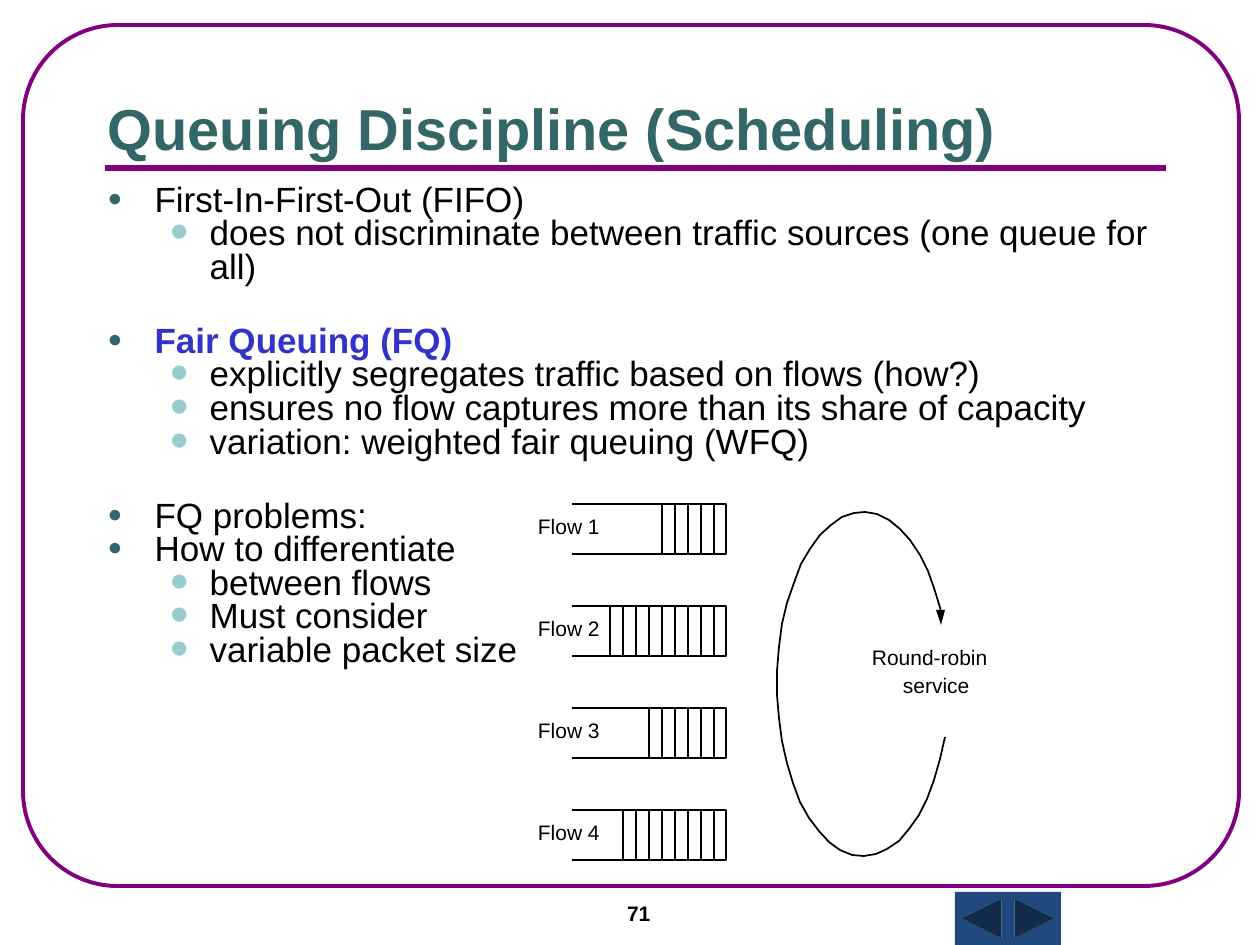
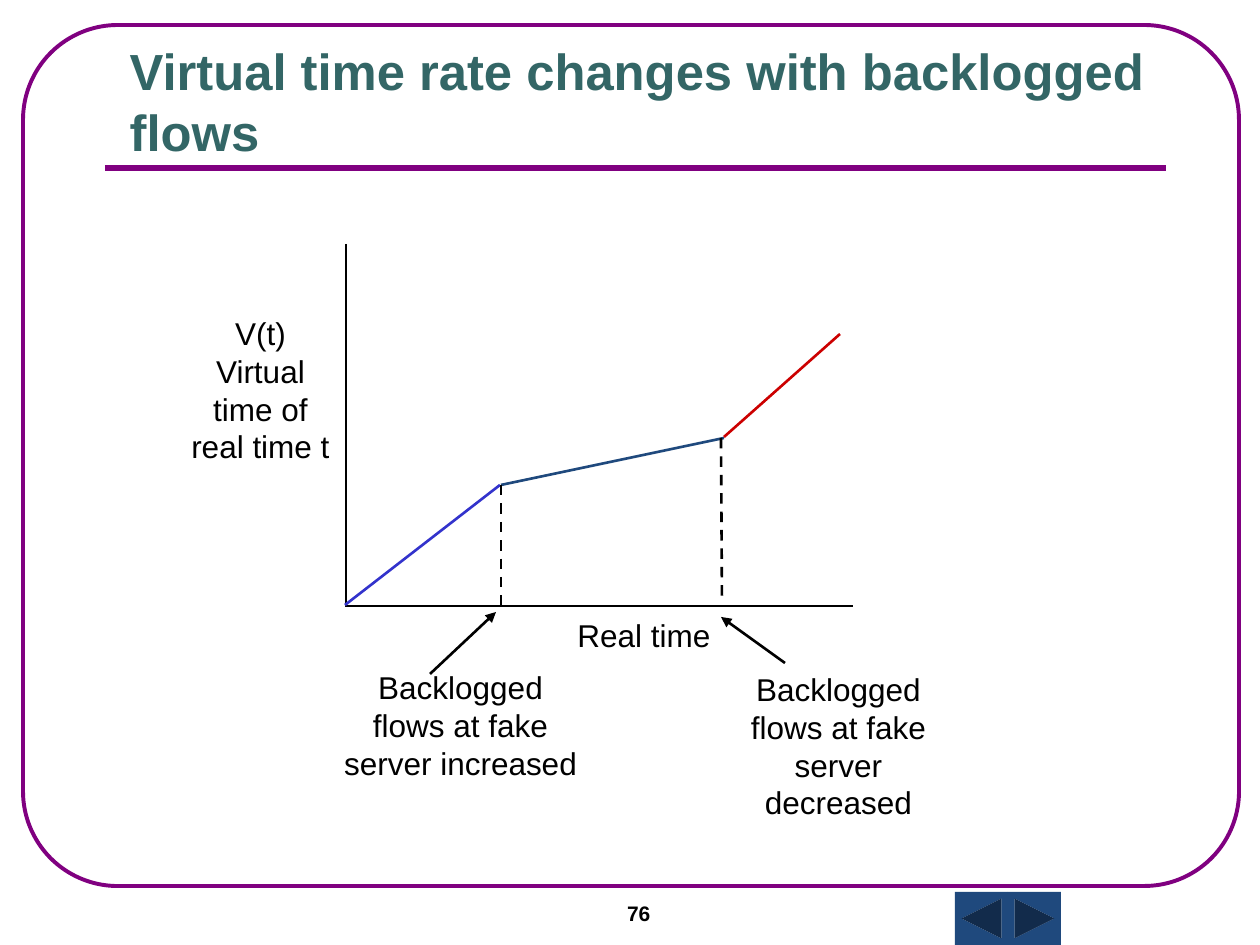
import math
import pptx
import pptx.dml.color
import pptx.enum.dml
import pptx.enum.shapes
import pptx.enum.text
import pptx.oxml.ns
import pptx.util
from lxml import etree

PX = 914400 / 126
FONT = "Arial"
BLACK, PURPLE, TEAL, AQUA = "000000", "800080", "336666", "97CDCC"
NAVY, BLUE, RED = "1F497D", "3333CC", "CC0000"
colour = pptx.dml.color.RGBColor.from_string
qn = pptx.oxml.ns.qn
PRESET = pptx.enum.shapes.MSO_SHAPE
ALIGN = pptx.enum.text.PP_ALIGN


def add_line(slide, ends, tint=BLACK, width=1.5, dashed=False, arrow=False):
    connector = slide.shapes.add_connector(
        pptx.enum.shapes.MSO_CONNECTOR.STRAIGHT, *[round(v * PX) for v in ends])
    connector.line.color.rgb = colour(tint)
    connector.line.width = pptx.util.Pt(width)
    if dashed:
        connector.line.dash_style = pptx.enum.dml.MSO_LINE.DASH
    if arrow:
        etree.SubElement(connector.line._get_or_add_ln(), qn("a:tailEnd"), type="triangle")
    etree.SubElement(connector._element.spPr, qn("a:effectLst"))


def add_text(slide, box, paragraphs, size=12, bold=False, align=ALIGN.LEFT, wrap=False):
    frame = slide.shapes.add_textbox(*[round(v * PX) for v in box]).text_frame
    frame.word_wrap = wrap
    frame.margin_left = frame.margin_right = frame.margin_top = frame.margin_bottom = 0
    for i, words in enumerate(paragraphs):
        paragraph = frame.add_paragraph() if i else frame.paragraphs[0]
        paragraph.alignment = align
        run = paragraph.add_run()
        run.text = words
        run.font.name, run.font.size, run.font.bold = FONT, pptx.util.Pt(size), bold
        run.font.color.rgb = colour(BLACK)


deck = pptx.Presentation()
deck.slide_width, deck.slide_height = round(1260 * PX), round(945 * PX)
queuing = deck.slides.add_slide(deck.slide_layouts[1])
virtual_time = deck.slides.add_slide(deck.slide_layouts[5])

for slide, heading, size, box, number in [
    (queuing, "Queuing Discipline (Scheduling)", 33, (95, 10, 1071, 158), "71"),
    (virtual_time, "Virtual time rate changes with backlogged flows", 29,
     (117, 73, 1061, 95), "76"),
]:
    border = slide.shapes.add_shape(
        PRESET.ROUNDED_RECTANGLE, *[round(v * PX) for v in (23, 25, 1216, 861)])
    border.adjustments[0] = 0.11
    border.shadow.inherit = False
    border.fill.background()
    border.line.color.rgb = colour(PURPLE)
    border.line.width = pptx.util.Pt(2.25)
    add_line(slide, (105, 168, 1166, 168), PURPLE, 3)
    for left, preset in [(955, PRESET.ACTION_BUTTON_BACK_OR_PREVIOUS),
                         (1008, PRESET.ACTION_BUTTON_FORWARD_OR_NEXT)]:
        button = slide.shapes.add_shape(preset, *[round(v * PX) for v in (left, 892, 53, 53)])
        button.shadow.inherit = False
        button.fill.solid()
        button.fill.fore_color.rgb = colour(NAVY)
        button.line.fill.background()
    add_text(slide, (627, 901, 122, 29), [number], bold=True)

    title = slide.shapes.title
    title.left, title.top, title.width, title.height = [round(v * PX) for v in box]
    title.text_frame.auto_size = pptx.enum.text.MSO_AUTO_SIZE.NONE
    title.text_frame.vertical_anchor = pptx.enum.text.MSO_ANCHOR.BOTTOM
    paragraph = title.text_frame.paragraphs[0]
    paragraph.alignment = ALIGN.LEFT
    run = paragraph.add_run()
    run.text = heading
    run.font.name, run.font.size, run.font.bold = FONT, pptx.util.Pt(size), True
    run.font.color.rgb = colour(TEAL)

disciplines = queuing.placeholders[1]
disciplines.left, disciplines.top, disciplines.width, disciplines.height = [
    round(v * PX) for v in (95, 179, 1071, 567)]
disciplines.text_frame.auto_size = pptx.enum.text.MSO_AUTO_SIZE.NONE
bullets = [("●", TEAL, "70000", 47, 47), ("•", AQUA, "150000", 102, 39)]
for i, (level, words, gap) in enumerate([
    (0, "First-In-First-Out (FIFO)", 0),
    (1, "does not discriminate between traffic sources (one queue for all)", 0),
    (0, "Fair Queuing (FQ)", 23),
    (1, "explicitly segregates traffic based on flows (how?)", 0),
    (1, "ensures no flow captures more than its share of capacity", 0),
    (1, "variation: weighted fair queuing (WFQ)", 0),
    (0, "FQ problems:", 23),
    (0, "How to differentiate", 0),
    (1, "between flows", 0),
    (1, "Must consider", 0),
    (1, "variable packet size", 0),
]):
    frame = disciplines.text_frame
    paragraph = frame.add_paragraph() if i else frame.paragraphs[0]
    mark, tint, percent, margin, hanging = bullets[level]
    props = paragraph._p.get_or_add_pPr()
    props.set("marL", str(round(margin * PX)))
    props.set("indent", str(round(-hanging * PX)))
    etree.SubElement(etree.SubElement(props, qn("a:buClr")), qn("a:srgbClr"), val=tint)
    etree.SubElement(props, qn("a:buSzPct"), val=percent)
    etree.SubElement(props, qn("a:buChar"), char=mark)
    paragraph.level = level
    paragraph.line_spacing = 0.8
    paragraph.space_before = pptx.util.Pt(gap)
    key_term = words.startswith("Fair")
    run = paragraph.add_run()
    run.text = words
    run.font.name, run.font.size, run.font.bold = FONT, pptx.util.Pt(20), key_term
    run.font.color.rgb = colour(BLUE if key_term else BLACK)

outlines = []
for flow, packets in enumerate([5, 9, 6, 8]):
    top = 504 + 102 * flow
    outlines.append(([(572, top + 50), (726, top + 50), (726, top), (572, top)], False))
    for packet in range(packets):
        x = 714 - 13 * packet
        add_line(queuing, (x, top, x, top + 50), width=1)
    add_text(queuing, (538, top + 10, 62, 25), [f"Flow {flow + 1}"])

angles = [math.radians(18 + 317 * step / 40) for step in range(41)]
outlines.append(([(863 + 86 * math.cos(a), 684 + 172 * math.sin(a)) for a in angles], False))
outlines.append(([(936, 610), (941, 625), (945, 610)], True))
for points, solid in outlines:
    builder = queuing.shapes.build_freeform(*points[0], scale=PX)
    builder.add_line_segments(points[1:], close=solid)
    outline = builder.convert_to_shape()
    outline.shadow.inherit = False
    if solid:
        outline.fill.solid()
        outline.fill.fore_color.rgb = colour(BLACK)
        outline.line.fill.background()
    else:
        outline.fill.background()
        outline.line.color.rgb = colour(BLACK)
        outline.line.width = pptx.util.Pt(1)
add_text(queuing, (872, 645, 116, 25), ["Round-robin"])
add_text(queuing, (903, 673, 67, 25), ["service"])

for ends, tint in [
    ((346, 244, 346, 607), BLACK),
    ((345, 606, 853, 606), BLACK),
    ((345, 605, 500, 485), BLUE),
    ((501, 485, 724, 438), NAVY),
    ((724, 437, 840, 334), RED),
]:
    add_line(virtual_time, ends, tint)
for ends in [(501, 485, 501, 607), (721, 438, 722, 601)]:
    add_line(virtual_time, ends, dashed=True)
for ends in [(430, 674, 496, 612), (785, 663, 721, 617)]:
    add_line(virtual_time, ends, arrow=True)
for box, paragraphs in [
    ((568, 616, 152, 38), ["Real time"]),
    ((185, 314, 151, 151), ["V(t)", "Virtual time of real time t"]),
    ((344, 668, 233, 113), ["Backlogged flows at fake server increased"]),
    ((732, 670, 213, 151), ["Backlogged flows at fake server decreased"]),
]:
    add_text(virtual_time, box, paragraphs, 18, align=ALIGN.CENTER, wrap=True)

deck.save("out.pptx")
